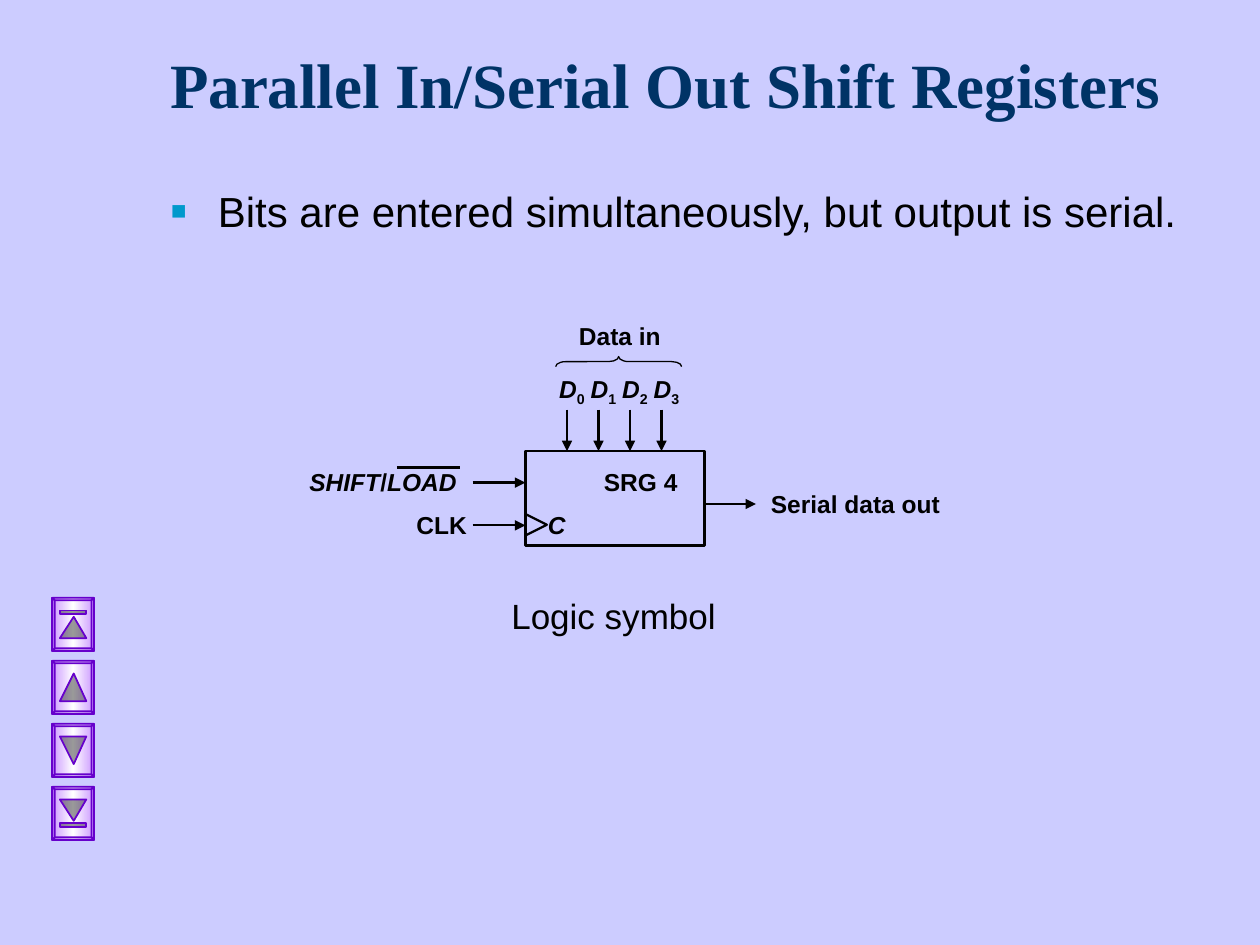
from copy import deepcopy
from dataclasses import dataclass
from typing import NamedTuple

from lxml import etree
from pptx import Presentation
from pptx.dml.color import RGBColor
from pptx.enum.shapes import MSO_CONNECTOR, MSO_SHAPE
from pptx.enum.text import MSO_ANCHOR, MSO_AUTO_SIZE, PP_ALIGN
from pptx.oxml import parse_xml
from pptx.oxml.ns import nsdecls, qn
from pptx.util import Inches, Pt

LEFT, CENTER = PP_ALIGN.LEFT, PP_ALIGN.CENTER
MIDDLE = MSO_ANCHOR.MIDDLE
GROW = MSO_AUTO_SIZE.SHAPE_TO_FIT_TEXT
STRAIGHT = MSO_CONNECTOR.STRAIGHT
RECTANGLE, TRIANGLE = MSO_SHAPE.RECTANGLE, MSO_SHAPE.ISOSCELES_TRIANGLE
BRACE = MSO_SHAPE.LEFT_BRACE
SIDE_LEFT, SIDE_RIGHT = 1, 3


@dataclass(frozen=True)
class Theme:
    background: str = "CCCCFF"
    title: str = "003366"
    ink: str = "000000"
    bullet: str = "0099CC"
    button_edge: str = "6600CC"
    button_tint: str = "CC99FF"
    button_glow: str = "FFFFFF"
    heading_font: str = "Times New Roman"
    body_font: str = "Arial"
    title_size: int = 36
    body_size: int = 24
    caption_size: int = 20
    label_size: int = 14


THEME = Theme()


class Span(NamedTuple):
    text: str
    italic: bool = False
    subscript: bool = False


class Label(NamedTuple):
    spans: tuple
    left: float
    middle: float
    width: float


class Button(NamedTuple):
    top: float
    bar: bool
    mirrored: bool


def write_spans(para, spans, *, size, font=THEME.body_font, color=THEME.ink,
                bold=False, align=LEFT) -> None:
    para.alignment = align
    for item in spans:
        span = para.add_run()
        span.text = item.text
        span.font.name = font
        span.font.size = Pt(size)
        span.font.bold = bold
        span.font.italic = item.italic
        span.font.color.rgb = RGBColor.from_string(color)
        if item.subscript:
            span._r.get_or_add_rPr().set("baseline", "-25000")


def add_text(page, at: tuple, spans, *, right_inset=0.1, **text_format):
    box = page.shapes.add_textbox(*map(Inches, at))
    box.text_frame.word_wrap = True
    box.text_frame.auto_size = GROW
    box.text_frame.margin_right = Inches(right_inset)
    write_spans(box.text_frame.paragraphs[0], spans, **text_format)
    return box


def add_label(page, label: Label):
    height = 0.34
    at = (label.left, label.middle - height / 2, label.width, height)
    return add_text(page, at, label.spans, size=THEME.label_size, bold=True, align=CENTER)


def add_outline(page, preset, at: tuple, *, width, rotation=0):
    shape = page.shapes.add_shape(preset, *map(Inches, at))
    shape.shadow.inherit = False
    shape.fill.background()
    shape.line.color.rgb = RGBColor.from_string(THEME.ink)
    shape.line.width = Pt(width)
    shape.rotation = rotation
    return shape


def add_line(page, start: tuple, end: tuple, *, arrow=True):
    line = page.shapes.add_connector(STRAIGHT, *map(Inches, start + end))
    line.line.color.rgb = RGBColor.from_string(THEME.ink)
    line.line.width = Pt(1.25)
    if arrow:
        etree.SubElement(line.line._get_or_add_ln(), qn("a:tailEnd"), type="triangle")
    etree.SubElement(line._element.spPr, qn("a:effectLst"))
    return line


def add_button(page, button: Button) -> None:
    """Draw a bevelled button, laid out sideways in hundredths of an inch."""
    long, short, bevel = 42, 33, 2
    outer = [(0, 0), (long, 0), (long, short), (0, short)]
    inner = [(bevel, bevel), (long - bevel, bevel),
             (long - bevel, short - bevel), (bevel, short - bevel)]
    bevels = [[outer[i - 1], outer[i], inner[i], inner[i - 1]] for i in range(4)]
    icons = [[(15 if button.bar else 10, 16.5), (32, 6), (32, 27)]]
    if button.bar:
        icons.append([(10, 6), (13, 6), (13, 27), (10, 27)])
    if button.mirrored:
        icons = [[(long - x, y) for x, y in icon] for icon in icons]
    contours = [outer, *bevels, *icons]

    builder = page.shapes.build_freeform(0, 0, scale=Inches(0.01))
    for number, (first, *others) in enumerate(contours):
        if number:
            builder.move_to(*first)
        builder.add_line_segments(others, close=True)
    shape = builder.convert_to_shape(Inches(0.37), Inches(button.top))
    shape.rotation = 90
    shape.shadow.inherit = False
    shape.line.color.rgb = RGBColor.from_string(THEME.button_edge)
    shape.line.width = Pt(1)

    # Give each contour its own outline, so that overlaps stay filled
    outline_list = shape._element.spPr.find(".//" + qn("a:pathLst"))
    whole = outline_list[0]
    steps = list(whole)
    outline_list.remove(whole)
    for step in steps:
        if step.tag == qn("a:moveTo"):
            part = etree.SubElement(outline_list, whole.tag, dict(whole.attrib))
            if len(outline_list) > 1 + len(bevels):
                part.set("fill", "darken")
        part.append(deepcopy(step))

    stops = "".join(
        f'<a:gs pos="{place}"><a:srgbClr val="{color}"/></a:gs>'
        for place, color in ((0, THEME.button_tint), (50000, THEME.button_glow),
                             (100000, THEME.button_tint)))
    gradient = parse_xml(
        f'<a:gradFill {nsdecls("a")} rotWithShape="1"><a:gsLst>{stops}</a:gsLst>'
        '<a:lin ang="5400000" scaled="1"/></a:gradFill>')
    shape._element.spPr.find(qn("a:custGeom")).addnext(gradient)


def add_heading(page) -> None:
    title = page.shapes.title
    title.left, title.top, title.width, title.height = map(Inches, (1.25, 0.25, 8.5, 0.83))
    title.text_frame.vertical_anchor = MIDDLE
    write_spans(title.text_frame.paragraphs[0],
                [Span("Parallel In/Serial Out Shift Registers")],
                size=THEME.title_size, font=THEME.heading_font,
                color=THEME.title, bold=True)


def add_bullet(page) -> None:
    box = page.shapes.add_textbox(*map(Inches, (1.25, 1.42, 8.42, 0.58)))
    box.text_frame.word_wrap = True
    para = box.text_frame.paragraphs[0]
    properties = para._p.get_or_add_pPr()
    properties.set("marL", str(Inches(0.38)))
    properties.set("indent", str(-Inches(0.38)))
    color = etree.SubElement(properties, qn("a:buClr"))
    etree.SubElement(color, qn("a:srgbClr"), val=THEME.bullet)
    etree.SubElement(properties, qn("a:buSzPct"), val="120000")
    etree.SubElement(properties, qn("a:buFont"), typeface=THEME.body_font)
    etree.SubElement(properties, qn("a:buChar"), char="▪")
    write_spans(para, [Span("Bits are entered simultaneously, but output is serial.")],
                size=THEME.body_size)


def add_logic_symbol(page) -> None:
    # Register block with its clock input
    add_outline(page, RECTANGLE, (4.17, 3.58, 1.42, 0.75), width=1.5)
    add_outline(page, TRIANGLE, (4.17, 4.08, 0.17, 0.17), width=1.25, rotation=90)
    for label in (Label((Span("C", italic=True),), 4.25, 4.17, 0.33),
                  Label((Span("SRG 4"),), 4.67, 3.83, 0.83),
                  Label((Span("CLK"),), 3.17, 4.17, 0.67),
                  Label((Span("Data in"),), 4.42, 2.67, 1)):
        add_label(page, label)

    # Control inputs, with the bar over LOAD
    shift_load = add_label(page, Label(
        (Span("SHIFT", italic=True), Span("/"), Span("LOAD", italic=True)), 2.33, 3.83, 1.42))
    add_line(page, (3.75, 3.83), (4.17, 3.83)).begin_connect(shift_load, SIDE_RIGHT)
    add_line(page, (3.75, 4.17), (4.17, 4.17))
    add_line(page, (3.15, 3.71), (3.65, 3.71), arrow=False)

    # Parallel data inputs under their brace
    for number in range(4):
        x = 4.5 + 0.25 * number
        add_text(page, (x - 0.16, 2.92, 0.4, 0.37),
                 [Span("D", italic=True), Span(str(number), subscript=True)],
                 right_inset=0, size=THEME.label_size, bold=True)
        add_line(page, (x, 3.25), (x, 3.58))
    brace = add_outline(page, BRACE, (4.87, 2.37, 0.08, 1), width=0.75, rotation=90)
    brace.adjustments[0] = 1

    # Serial output
    serial_out = add_label(page, Label((Span("Serial data out"),), 6, 4, 1.58))
    add_line(page, (5.58, 4), (6, 4)).end_connect(serial_out, SIDE_LEFT)

    add_text(page, (3.83, 4.67, 2.08, 0.44), [Span("Logic symbol")],
             size=THEME.caption_size, align=CENTER)


def main() -> None:
    deck = Presentation()
    deck.slide_width, deck.slide_height = Inches(10), Inches(7.5)
    page = deck.slides.add_slide(deck.slide_layouts[5])
    page.background.fill.solid()
    page.background.fill.fore_color.rgb = RGBColor.from_string(THEME.background)

    add_heading(page)
    add_bullet(page)
    add_logic_symbol(page)

    # Navigation: first, previous, next, last
    for number, (bar, mirrored) in enumerate(
            ((True, False), (False, False), (False, True), (True, True))):
        add_button(page, Button(4.79 + 0.5 * number, bar, mirrored))
    deck.save("out.pptx")


if __name__ == "__main__":
    main()
